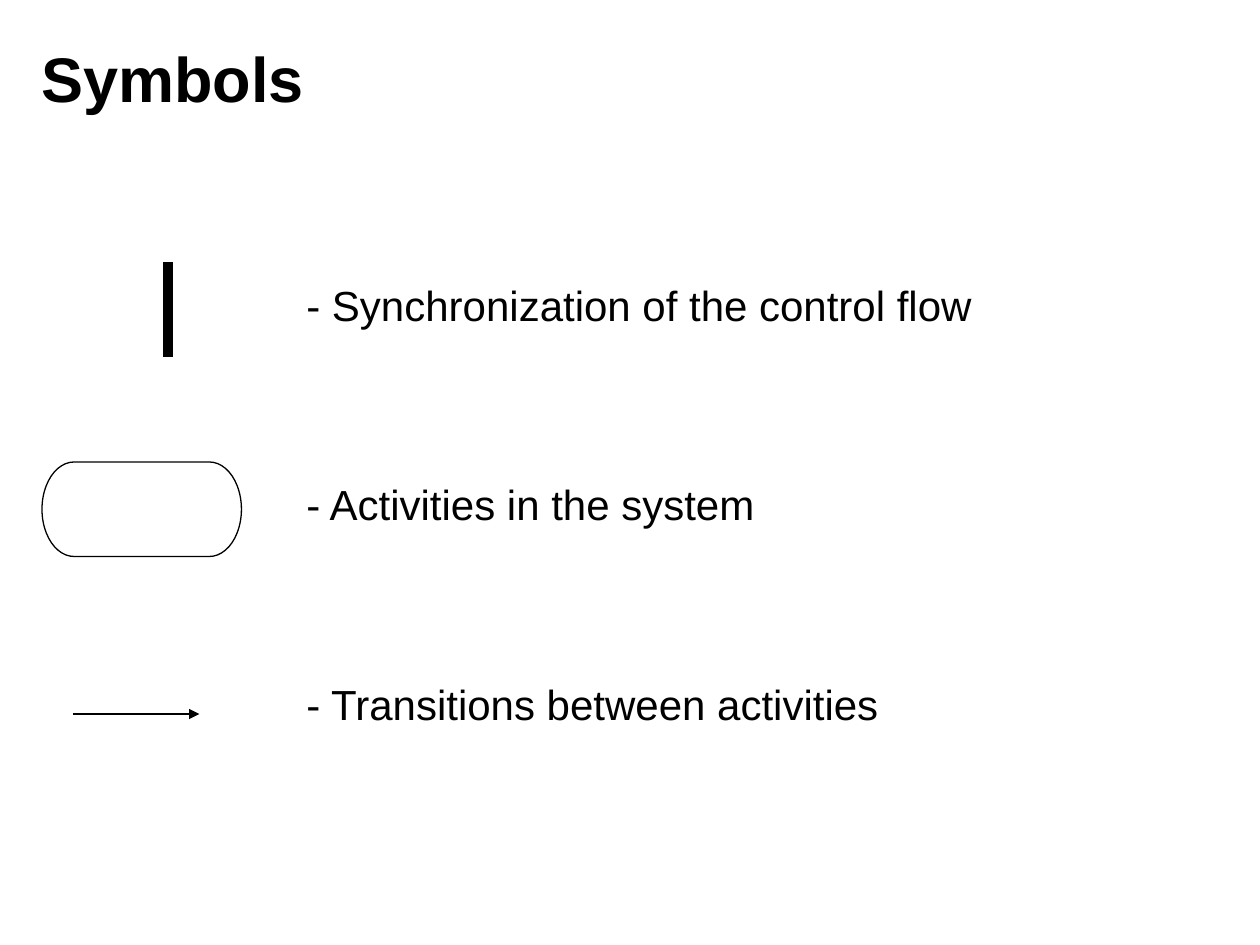
from pptx import Presentation
from pptx.dml.color import RGBColor
from pptx.enum import shapes, text
from pptx.oxml import ns
from pptx.util import Pt
from lxml import etree


def color(value):
    return RGBColor.from_string(value)


def add_text(left, top, width, height, words, size, bold, anchor):
    frame = slide.shapes.add_textbox(Pt(left), Pt(top), Pt(width), Pt(height)).text_frame
    frame.word_wrap = True
    frame.vertical_anchor = anchor
    run = frame.paragraphs[0].add_run()
    run.text = words
    run.font.name = "Arial"
    run.font.size = Pt(size)
    run.font.bold = bold
    run.font.color.rgb = color("000000")


deck = Presentation()
deck.slide_width = Pt(720)
deck.slide_height = Pt(540)
slide = deck.slides.add_slide(deck.slide_layouts[6])

add_text(16.5, 10.8, 578, 67, "Symbols", 36, True, text.MSO_ANCHOR.MIDDLE)

meanings = [
    "- Synchronization of the control flow",
    "- Activities in the system",
    "- Transitions between activities",
]
for row, meaning in enumerate(meanings):
    add_text(168, 156 + 114 * row, 432, 36, meaning, 24, False, text.MSO_ANCHOR.TOP)

activity = slide.shapes.add_shape(
    shapes.MSO_SHAPE.FLOWCHART_TERMINATOR, Pt(24), Pt(264), Pt(114), Pt(54))
activity.shadow.inherit = False
activity.fill.solid()
activity.fill.fore_color.rgb = color("FFFFFF")
activity.line.color.rgb = color("000000")
activity.line.width = Pt(0.75)

for x1, y1, x2, y2, weight, has_arrow in [
    (96, 150, 96, 204, 6, False),
    (42, 408, 114, 408, 0.75, True),
]:
    stroke = slide.shapes.add_connector(
        shapes.MSO_CONNECTOR.STRAIGHT, Pt(x1), Pt(y1), Pt(x2), Pt(y2))
    stroke.line.color.rgb = color("000000")
    stroke.line.width = Pt(weight)
    if has_arrow:
        etree.SubElement(stroke.line._get_or_add_ln(), ns.qn("a:tailEnd"), type="triangle")
    etree.SubElement(stroke._element.spPr, ns.qn("a:effectLst"))

deck.save("out.pptx")
